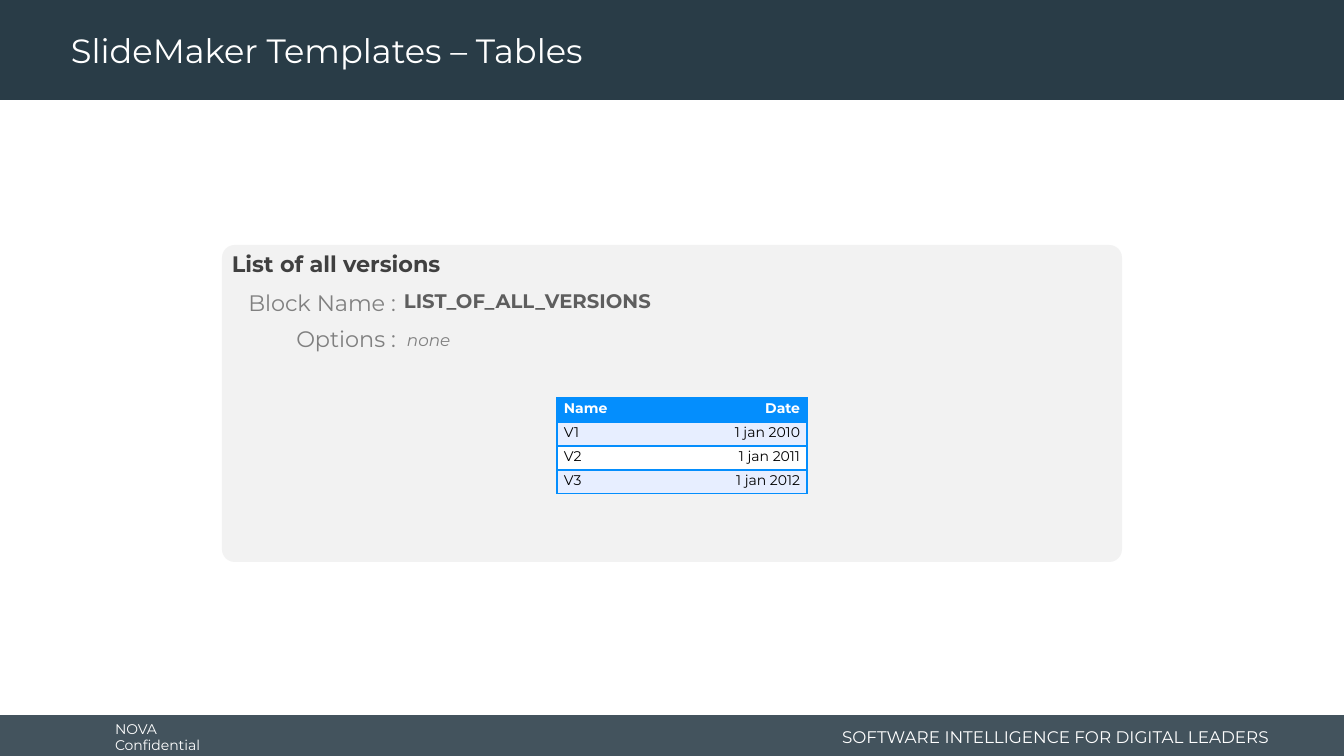
from lxml import etree
from pptx import Presentation
from pptx.dml.color import RGBColor
from pptx.enum.shapes import MSO_SHAPE
from pptx.enum.text import MSO_ANCHOR, PP_ALIGN
from pptx.oxml.ns import qn
from pptx.util import Emu, Pt

EMU_PER_PX = 914400 / 100.8
FONT = "Montserrat"

WHITE = RGBColor(0xFF, 0xFF, 0xFF)
BLACK = RGBColor(0x00, 0x00, 0x00)
NAVY = RGBColor(0x29, 0x3C, 0x47)
PANEL_GREY = RGBColor(0xF2, 0xF2, 0xF2)
HEADING_GREY = RGBColor(0x40, 0x40, 0x40)
NAME_GREY = RGBColor(0x5E, 0x5E, 0x5E)
LABEL_GREY = RGBColor(0x80, 0x80, 0x80)
BLUE = RGBColor(0x04, 0x8E, 0xFD)
PALE_BLUE = RGBColor(0xE7, 0xEE, 0xFF)

VERSIONS = [
    ("Name", "Date"),
    ("V1", "1 jan 2010"),
    ("V2", "1 jan 2011"),
    ("V3", "1 jan 2012"),
]
COLUMN_WIDTHS = (146, 104)
ROW_HEIGHT = 24


def px(length):
    return Emu(round(length * EMU_PER_PX))


def box(left, top, width, height):
    return px(left), px(top), px(width), px(height)


def format_paragraph(paragraph, size, color, bold=False, italic=False,
                     align=PP_ALIGN.LEFT, spacing=None):
    paragraph.alignment = align
    paragraph.line_spacing = spacing
    for run in paragraph.runs:
        run.font.name = FONT
        run.font.size = Pt(size)
        run.font.bold = bold
        run.font.italic = italic
        run.font.color.rgb = color


def add_block(slide, preset, bounds, color, opacity=100):
    """Add a borderless filled shape; opacity is a percentage."""
    block = slide.shapes.add_shape(preset, *box(*bounds))
    block.shadow.inherit = False
    block.fill.solid()
    block.fill.fore_color.rgb = color
    block.line.fill.background()
    if opacity < 100:
        srgb = block.fill._xPr.find(qn("a:solidFill"))[0]
        etree.SubElement(srgb, qn("a:alpha"), val=str(opacity * 1000))
    return block


def add_text(slide, text, bounds, size, color, wrap=True,
             anchor=MSO_ANCHOR.TOP, inset=10, **style):
    frame = slide.shapes.add_textbox(*box(*bounds)).text_frame
    frame.word_wrap = wrap
    frame.vertical_anchor = anchor
    frame.margin_left = frame.margin_right = px(inset)
    frame.text = text
    format_paragraph(frame.paragraphs[0], size, color, **style)


def set_borders(cell, sides):
    """Draw the given sides in blue and hide the others."""
    properties = cell._tc.get_or_add_tcPr()
    for side in "LRTB":
        line = etree.SubElement(properties, qn(f"a:ln{side}"), w=str(Pt(1)))
        if side in sides:
            fill = etree.SubElement(line, qn("a:solidFill"))
            etree.SubElement(fill, qn("a:srgbClr"), val=str(BLUE))
        else:
            etree.SubElement(line, qn("a:noFill"))


def fill_cell(cell, text, is_header, align, background, sides):
    cell.margin_left = cell.margin_right = px(7)
    cell.margin_top = cell.margin_bottom = 0
    cell.text = text
    format_paragraph(cell.text_frame.paragraphs[0], 10,
                     WHITE if is_header else BLACK,
                     bold=is_header, align=align, spacing=1.15)
    set_borders(cell, sides)
    cell.fill.solid()
    cell.fill.fore_color.rgb = background


def add_versions_table(slide, left, top):
    bounds = box(left, top, sum(COLUMN_WIDTHS), ROW_HEIGHT * len(VERSIONS))
    table = slide.shapes.add_table(
        len(VERSIONS), len(COLUMN_WIDTHS), *bounds).table
    for column, width in zip(table.columns, COLUMN_WIDTHS):
        column.width = px(width)
    for r, (name, date) in enumerate(VERSIONS):
        table.rows[r].height = px(ROW_HEIGHT)
        is_header = r == 0
        background = BLUE if is_header else PALE_BLUE if r % 2 else WHITE
        fill_cell(table.cell(r, 0), name, is_header, PP_ALIGN.LEFT,
                  background, "LTB")
        fill_cell(table.cell(r, 1), date, is_header, PP_ALIGN.RIGHT,
                  background, "RTB")


def add_header_and_footer(slide):
    add_block(slide, MSO_SHAPE.RECTANGLE, (0, 715, 1344, 41), NAVY, opacity=88)
    add_block(slide, MSO_SHAPE.RECTANGLE, (0, 0, 1344, 100), NAVY)
    add_text(slide, "NOVA Confidential", (105, 717, 149, 40), 10, WHITE,
             wrap=False, anchor=MSO_ANCHOR.MIDDLE)
    add_text(slide, "SOFTWARE INTELLIGENCE FOR DIGITAL LEADERS",
             (817, 721, 462, 32), 12, WHITE, anchor=MSO_ANCHOR.MIDDLE,
             align=PP_ALIGN.RIGHT)
    add_text(slide, "SlideMaker Templates – Tables", (61, 4, 966, 97), 24,
             WHITE, anchor=MSO_ANCHOR.MIDDLE, spacing=0.9)


def add_versions_panel(slide):
    panel = add_block(slide, MSO_SHAPE.ROUNDED_RECTANGLE,
                      (222, 245, 900, 317), PANEL_GREY)
    panel.adjustments[0] = 0.04
    add_text(slide, "List of all versions", (212, 245, 898, 37), 16,
             HEADING_GREY, inset=20, bold=True)
    add_text(slide, "LIST_OF_ALL_VERSIONS", (394, 284, 731, 34), 14,
             NAME_GREY, bold=True)
    add_text(slide, "Block Name :", (238, 284, 168, 37), 16, LABEL_GREY,
             wrap=False, align=PP_ALIGN.RIGHT)
    add_text(slide, "none", (397, 325, 731, 30), 12, LABEL_GREY, italic=True)
    add_text(slide, "Options :", (284, 320, 122, 37), 16, LABEL_GREY,
             wrap=False, align=PP_ALIGN.RIGHT)
    add_versions_table(slide, 557, 398)


def main():
    presentation = Presentation()
    presentation.slide_width = px(1344)
    presentation.slide_height = px(756)
    slide = presentation.slides.add_slide(presentation.slide_layouts[6])
    add_header_and_footer(slide)
    add_versions_panel(slide)
    presentation.save("out.pptx")


if __name__ == "__main__":
    main()
